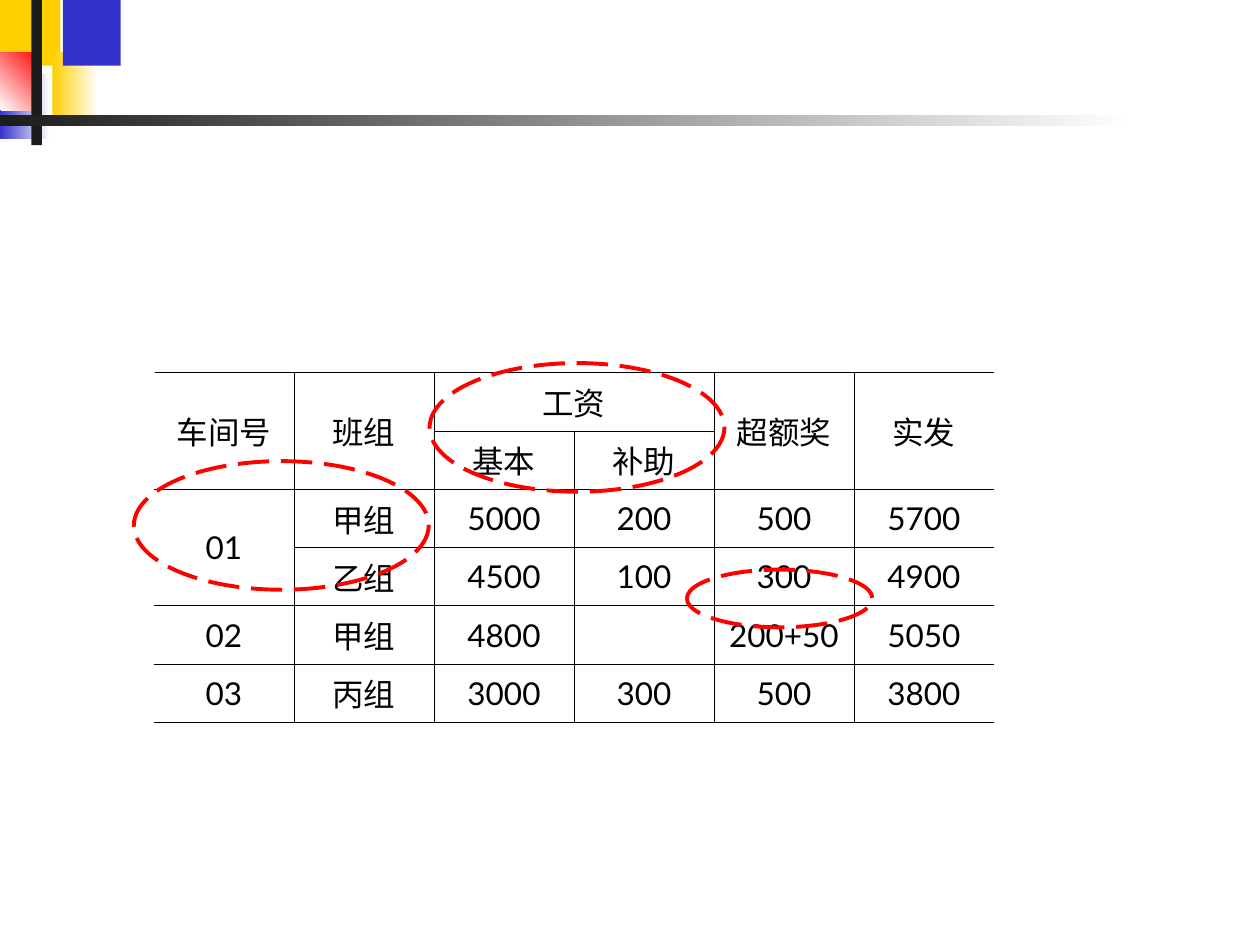
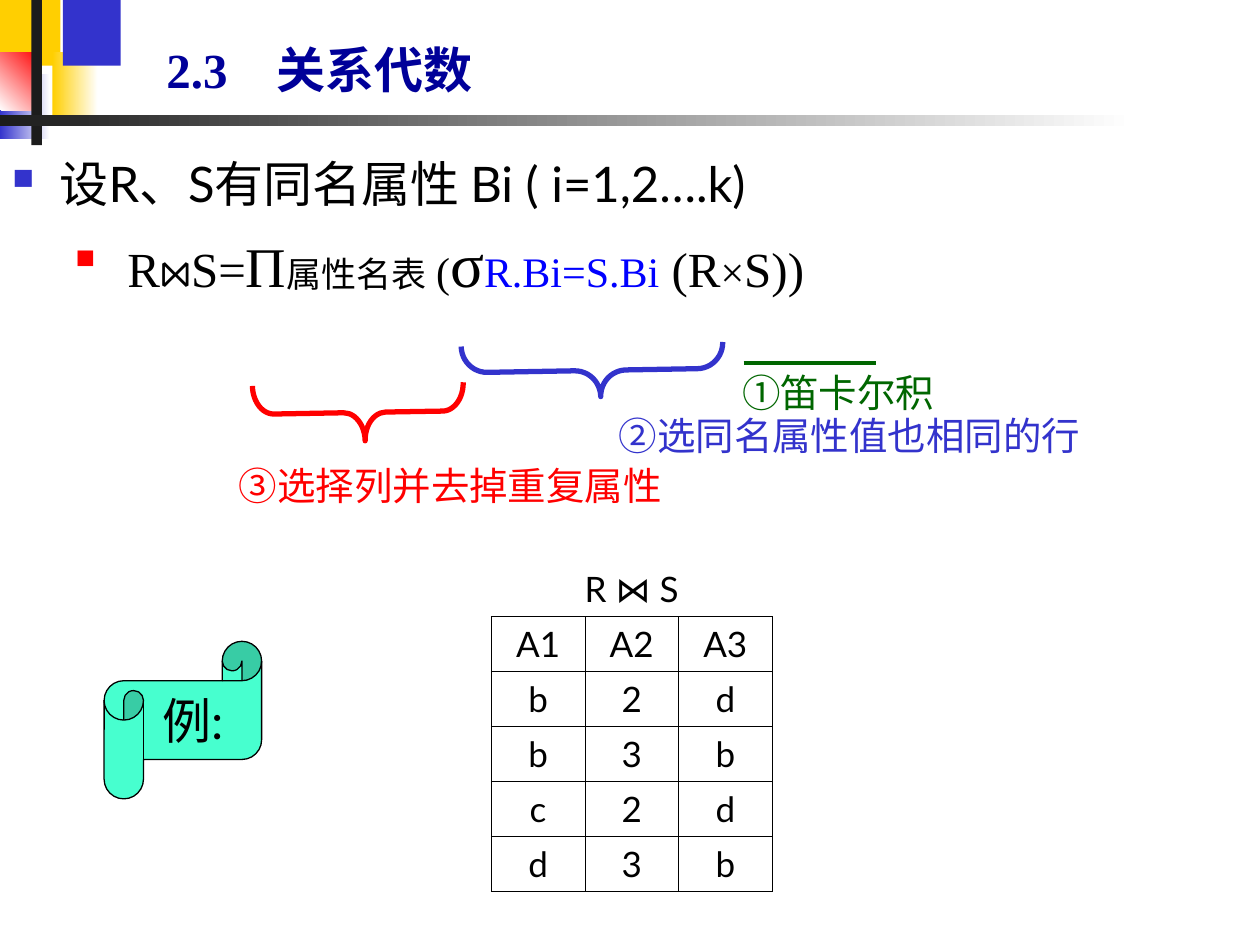
from dataclasses import dataclass
from typing import Any, Optional

from lxml.etree import Element, SubElement
from pptx import Presentation
from pptx.dml.color import RGBColor
from pptx.enum.dml import MSO_LINE as Dash
from pptx.enum.shapes import MSO_CONNECTOR as Link, MSO_SHAPE as Form
from pptx.enum.text import MSO_ANCHOR as Anchor, PP_ALIGN as Align
from pptx.oxml.ns import qn
from pptx.util import Pt

BLACK, WHITE, RED = "000000", "FFFFFF", "FF0000"
BLUE, GOLD, DARK = "3333CC", "FFCF01", "1C1C1C"
GREEN, NAVY, LINK, MINT = "006600", "000099", "0000FF", "47FFCF"
LATO, TIMES = "Lato", "Times New Roman"
THIN = 0.45
PLAIN = "{2D5ABB26-0587-4C30-8999-92F81FD0307C}"


@dataclass
class Box:
    left: float
    top: float
    width: float
    height: float

    def pts(self) -> list:
        return [Pt(n) for n in (self.left, self.top, self.width, self.height)]


@dataclass
class Run:
    text: str
    size: float
    name: str = LATO
    hue: str = BLACK
    bold: bool = False


@dataclass
class Block:
    box: Box
    fill: str
    fade: Optional[str] = None
    angle: float = 0


@dataclass
class Brace:
    box: Box
    hue: str
    curve: float


@dataclass
class Note:
    box: Box
    run: Run


@dataclass
class Point:
    left: float
    hang: float
    hue: str
    scale: int
    space: float
    runs: list


# Corner blocks and rule found on each slide
DECOR = [
    Block(Box(0, 0, 34.5, 37.5), GOLD),
    Block(Box(30, 30, 26, 37.5), GOLD, WHITE),
    Block(Box(36, 0, 33, 37.5), BLUE),
    Block(Box(0, 42, 28.5, 37.5), BLUE, WHITE),
    Block(Box(0, 30, 24, 33), WHITE, RED, 45),
    Block(Box(18, 0, 6, 83), DARK),
    Block(Box(0, 66, 648, 6), DARK, WHITE),
]

# Slide 1: pay table, its merged cells and the rings on it
PAY = [
    ["车间号", "班组", "工资", "", "超额奖", "实发"],
    ["", "", "基本", "补助", "", ""],
    ["01", "甲组", "5000", "200", "500", "5700"],
    ["", "乙组", "4500", "100", "300", "4900"],
    ["02", "甲组", "4800", "", "200+50", "5050"],
    ["03", "丙组", "3000", "300", "500", "3800"],
]
MERGED = [(0, 0, 1, 0), (0, 1, 1, 1), (0, 2, 0, 3),
          (0, 4, 1, 4), (0, 5, 1, 5), (2, 0, 3, 0)]
RINGS = [Box(245.5, 207.5, 168.5, 73.5), Box(76.5, 263.5, 168.5, 73.5),
         Box(392.5, 325.5, 106, 33)]

# Slide 2: natural join
JOIN = [["R ⋈ S", "", ""], ["A1", "A2", "A3"], ["b", "2", "d"],
        ["b", "3", "b"], ["c", "2", "d"], ["d", "3", "b"]]
POINTS = [
    Point(27, 27, BLUE, 60, 0, [Run("设R、S有同名属性 Bi ( i=1,2….k)", 28)]),
    Point(58.5, 22.5, RED, 55, 7, [
        Run(" ", 28),
        Run("R⋈S=", 28, TIMES),
        Run("Π", 32, TIMES),
        Run("属性名表", 20, TIMES),
        Run(" (", 24, TIMES),
        Run("σ", 36, TIMES),
        Run("R.Bi=S.Bi", 24, TIMES, LINK),
        Run(" (R", 28, TIMES),
        Run("×", 24, TIMES),
        Run("S))", 28, TIMES),
    ]),
]
BRACES = [Brace(Box(323.5, 137, 30, 149.5), BLUE, 0.49),
          Brace(Box(188.5, 175.5, 32.5, 120.5), RED, 0.37)]
NOTES = [
    Note(Box(346.5, 232, 307.5, 34), Run("②选同名属性值也相同的行", 22, TIMES, BLUE)),
    Note(Box(129.5, 260.5, 282, 34), Run("③选择列并去掉重复属性", 22, TIMES, RED)),
    Note(Box(417, 207.5, 156, 34), Run("①笛卡尔积", 22, TIMES, GREEN)),
]


def paint(code: str) -> RGBColor:
    return RGBColor.from_string(code)


def style(item: Any, **vals: Any) -> None:
    for key, val in vals.items():
        setattr(item, key, val)


def write(para: Any, run: Run) -> None:
    part = para.add_run()
    part.text = run.text
    style(part.font, size=Pt(run.size), name=run.name, bold=run.bold)
    part.font.color.rgb = paint(run.hue)


def shape(slide: Any, form: Any, box: Box, fill: Optional[str] = None,
          line: Optional[str] = None, width: float = 1) -> Any:
    item = slide.shapes.add_shape(form, *box.pts())
    item.shadow.inherit = False
    if fill:
        item.fill.solid()
        item.fill.fore_color.rgb = paint(fill)
    else:
        item.fill.background()
    if line:
        item.line.color.rgb = paint(line)
        item.line.width = Pt(width)
    else:
        item.line.fill.background()
    return item


def frame(slide: Any, box: Box, anchor: Any = Anchor.TOP) -> Any:
    text = slide.shapes.add_textbox(*box.pts()).text_frame
    style(text, word_wrap=True, vertical_anchor=anchor)
    return text


def decor(slide: Any) -> None:
    for block in DECOR:
        item = shape(slide, Form.RECTANGLE, block.box, block.fill)
        if block.fade:
            item.fill.gradient()
            item.fill.gradient_angle = block.angle
            for stop, code in zip(item.fill.gradient_stops,
                                  (block.fill, block.fade)):
                stop.color.rgb = paint(code)


def border(cell: Any, sides: dict) -> None:
    """Draw cell edges; a side without colour stays clear."""
    props = cell._tc.get_or_add_tcPr()
    for spot, side in enumerate("LRTB"):
        edge = Element(qn(f"a:ln{side}"), w=str(Pt(THIN)))
        code = sides.get(side)
        if code:
            fill = SubElement(edge, qn("a:solidFill"))
            SubElement(fill, qn("a:srgbClr"), val=code)
        else:
            SubElement(edge, qn("a:noFill"))
        props.insert(spot, edge)


def table(slide: Any, box: Box, data: list, size: float, anchor: Any,
          spans: list, edges: Any) -> None:
    rows, cols = len(data), len(data[0])
    grid = slide.shapes.add_table(rows, cols, *box.pts()).table
    style(grid, first_row=False, horz_banding=False)
    grid._tbl.tblPr.find(qn("a:tableStyleId")).text = PLAIN
    for col in grid.columns:
        col.width = Pt(box.width / cols)
    for row in grid.rows:
        row.height = Pt(box.height / rows)
    for r, line in enumerate(data):
        for c, text in enumerate(line):
            cell = grid.cell(r, c)
            cell.fill.background()
            cell.vertical_anchor = anchor
            border(cell, edges(r, c))
            para = cell.text_frame.paragraphs[0]
            para.alignment = Align.CENTER
            if text:
                write(para, Run(text, size))
            else:
                para.font.size = Pt(size)
    for top, left, low, right in spans:
        grid.cell(top, left).merge(grid.cell(low, right))


def bullet(para: Any, point: Point) -> None:
    props = para._p.get_or_add_pPr()
    props.set("marL", str(Pt(point.left)))
    props.set("indent", str(-Pt(point.hang)))
    tint = SubElement(props, qn("a:buClr"))
    SubElement(tint, qn("a:srgbClr"), val=point.hue)
    SubElement(props, qn("a:buSzPct"), val=str(point.scale * 1000))
    SubElement(props, qn("a:buChar"), char="■")
    para.space_before = Pt(point.space)


def title(slide: Any, num: str, name: str) -> None:
    para = frame(slide, Box(88, 0, 342, 60), Anchor.BOTTOM).paragraphs[0]
    tabs = SubElement(para._p.get_or_add_pPr(), qn("a:tabLst"))
    SubElement(tabs, qn("a:tab"), pos=str(Pt(63)), algn="l")
    write(para, Run(f"{num}\t{name}", 28, TIMES, NAVY, True))


def pay_edges(r: int, c: int) -> dict:
    return {"L": BLACK if c else WHITE, "T": BLACK, "B": BLACK,
            "R": BLACK if c < len(PAY[0]) - 1 else WHITE}


def join_edges(r: int, c: int) -> dict:
    return dict.fromkeys("LRTB" if r else "B", BLACK)


def pay_slide(slide: Any) -> None:
    table(slide, Box(88, 213, 480, 175), PAY, 18, Anchor.MIDDLE,
          MERGED, pay_edges)
    for box in RINGS:
        ring = shape(slide, Form.OVAL, box, line=RED, width=2.25)
        ring.line.dash_style = Dash.LONG_DASH


def join_slide(slide: Any) -> None:
    # Formula
    text = frame(slide, Box(0, 84, 702, 210))
    for i, point in enumerate(POINTS):
        para = text.add_paragraph() if i else text.paragraphs[0]
        bullet(para, point)
        for run in point.runs:
            write(para, run)

    # Braces, underline and notes
    for brace in BRACES:
        item = shape(slide, Form.RIGHT_BRACE, brace.box, line=brace.hue, width=3)
        item.rotation = 89
        item.adjustments[0] = brace.curve
        item.adjustments[1] = 0.47
    for note in NOTES:
        write(frame(slide, note.box).paragraphs[0], note.run)
    rule = slide.shapes.add_connector(
        Link.STRAIGHT, Pt(425), Pt(207.5), Pt(500.5), Pt(207.5))
    rule.line.color.rgb = paint(GREEN)
    rule.line.width = Pt(2.25)
    SubElement(rule._element.spPr, qn("a:effectLst"))

    # Example scroll
    scroll = shape(slide, Form.HORIZONTAL_SCROLL, Box(59.5, 366.5, 90, 90),
                   MINT, BLACK, 0.75)
    scroll.adjustments[0] = 0.25
    style(scroll.text_frame, word_wrap=False, vertical_anchor=Anchor.MIDDLE)
    para = scroll.text_frame.paragraphs[0]
    para.alignment = Align.CENTER
    write(para, Run("例:", 28))

    title(slide, "2.3", "关系代数")
    table(slide, Box(280.75, 321, 160.5, 188.5), JOIN, 20, Anchor.TOP,
          [(0, 0, 0, 2)], join_edges)


def main() -> None:
    deck = Presentation()
    style(deck, slide_width=Pt(720), slide_height=Pt(540))
    for build in (pay_slide, join_slide):
        slide = deck.slides.add_slide(deck.slide_layouts[6])
        decor(slide)
        build(slide)
    deck.save("out.pptx")


if __name__ == "__main__":
    main()
